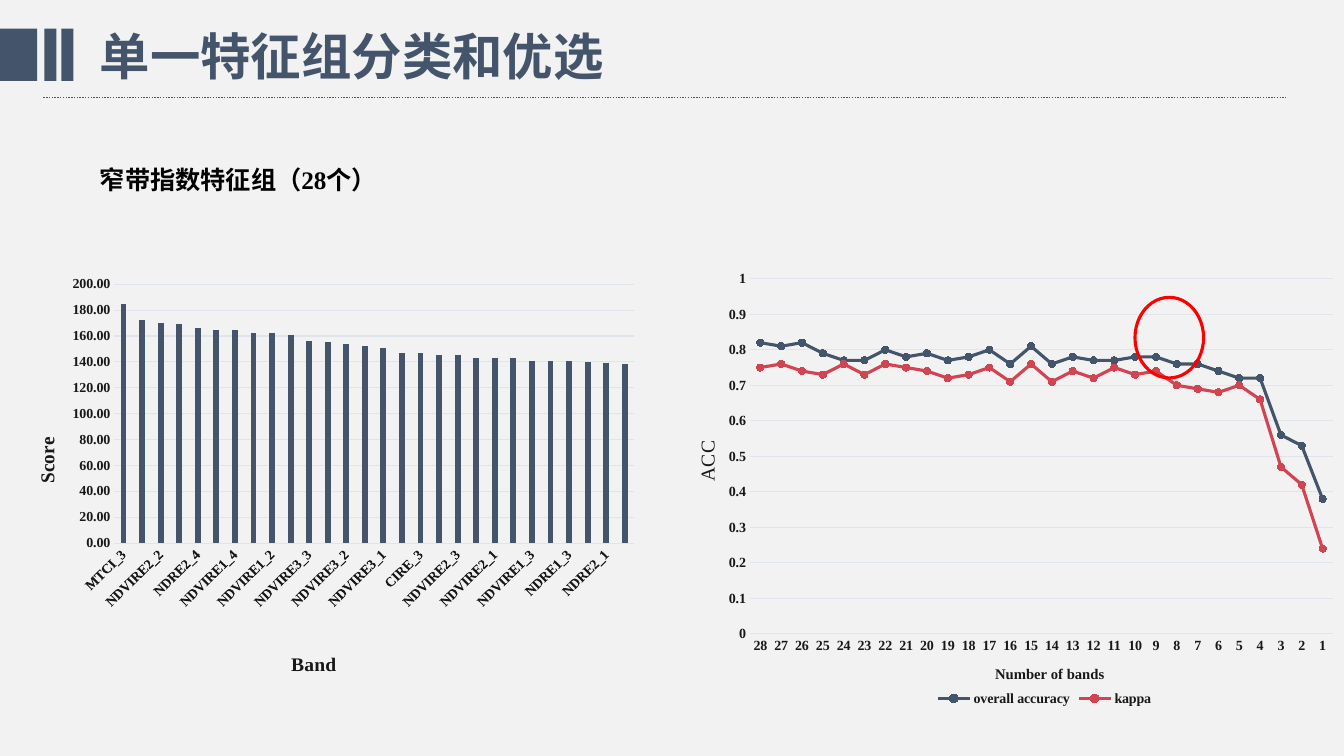
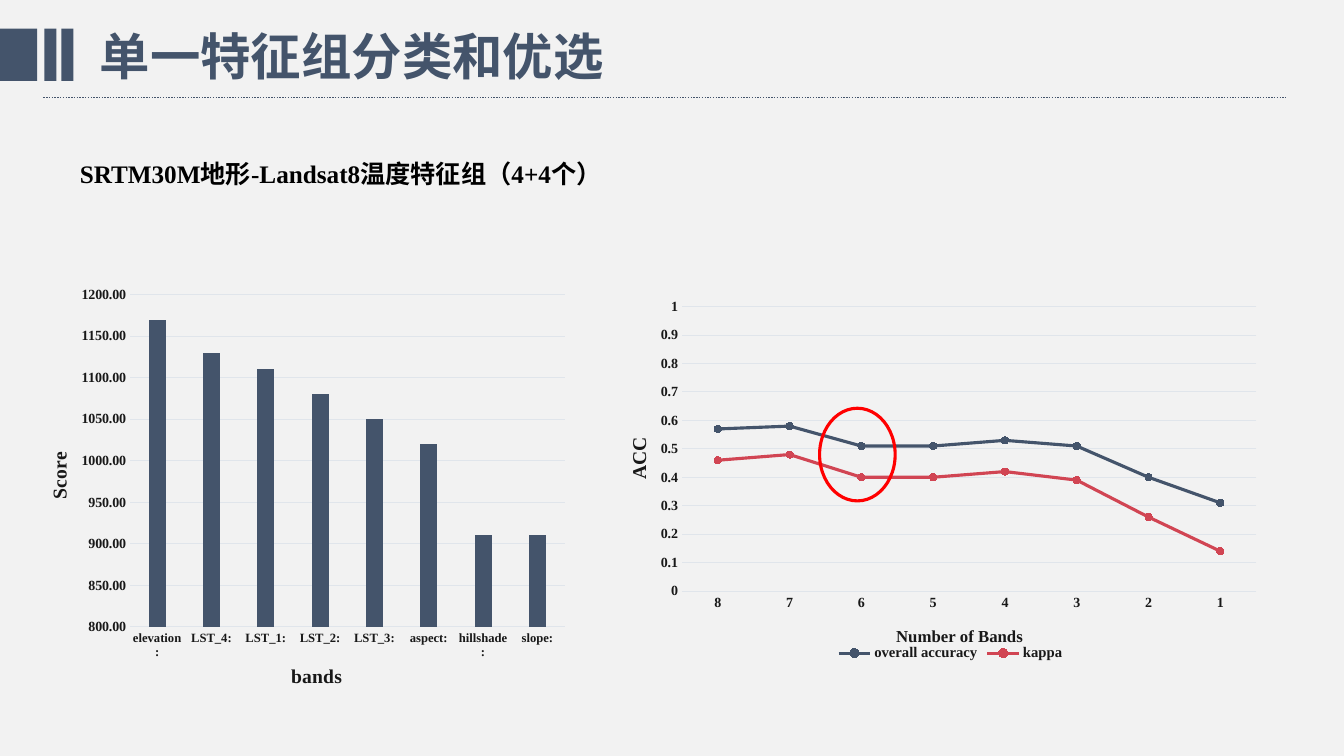
"""Build two slides on feature-group scores and accuracy."""
from dataclasses import dataclass

from lxml.etree import SubElement as Sub
from pptx import Presentation
from pptx.chart.data import CategoryChartData as Data
from pptx.dml.color import RGBColor as RGB
from pptx.enum.chart import XL_CHART_TYPE as Kind
from pptx.enum.chart import XL_LEGEND_POSITION as Spot
from pptx.enum.chart import XL_MARKER_STYLE as Mark
from pptx.enum.chart import XL_TICK_MARK as Tick
from pptx.enum.dml import MSO_LINE as Dash
from pptx.enum.shapes import MSO_CONNECTOR as Wire
from pptx.enum.shapes import MSO_SHAPE as Form
from pptx.enum.text import PP_ALIGN as Align
from pptx.oxml.ns import qn
from pptx.util import Pt

Box = tuple[float, ...]


@dataclass(frozen=True)
class Theme:
    """Colours, fonts and type sizes."""
    back: RGB = RGB(0xF2, 0xF2, 0xF2)
    navy: RGB = RGB(0x44, 0x54, 0x6B)
    rose: RGB = RGB(0xD1, 0x45, 0x53)
    ink: RGB = RGB(0x18, 0x18, 0x18)
    black: RGB = RGB(0, 0, 0)
    grid: RGB = RGB(0xE0, 0xE5, 0xEB)
    ring: RGB = RGB(0xFF, 0, 0)
    sans: str = "Noto Sans CJK SC"
    serif: str = "Times New Roman"
    title: float = 36
    head: float = 18
    axis: float = 14
    sub: float = 12
    note: float = 10.5
    label: float = 10
    small: float = 9


T = Theme()


@dataclass(frozen=True)
class Name:
    """An axis title and its place in the chart."""
    text: str
    at: Box
    size: float = T.axis
    bold: bool = True


@dataclass(frozen=True)
class Graph:
    """What both kinds of chart need."""
    box: Box
    plot: Box
    cats: list[str]
    rows: dict[str, list[float]]
    low: float
    high: float
    step: float
    across: Name
    up: Name
    size: float = T.label
    tilt: int = 0
    key: Box = ()
    key_size: float = T.label


@dataclass(frozen=True)
class Page:
    """One slide: heading, score bars, accuracy lines, ring."""
    head: str
    at: Box
    bars: Graph
    lines: Graph
    ring: Box


def style(font, size: float, color: RGB, face: str = T.serif, bold: bool = True) -> None:
    """Set one font."""
    font.size, font.bold, font.name = Pt(size), bold, face
    font.color.rgb = color


def place(node, at: Box, slot: int) -> None:
    """Give a chart part a manual layout."""
    for old in node.findall(qn("c:layout")):
        node.remove(old)
    lay = node.makeelement(qn("c:layout"))
    node.insert(slot, lay)
    man = Sub(lay, qn("c:manualLayout"))
    if len(at) == 4:
        Sub(man, qn("c:layoutTarget")).set("val", "inner")
    for tag in ("xMode", "yMode"):
        Sub(man, qn(f"c:{tag}")).set("val", "edge")
    for tag, val in zip("xywh", at):
        Sub(man, qn(f"c:{tag}")).set("val", str(val))


def write(slide, text: str, box: Box, size: float, color: RGB, face: str, align: Align, wrap: bool) -> None:
    """Add one line of bold text."""
    frame = slide.shapes.add_textbox(*map(Pt, box)).text_frame
    frame.word_wrap = wrap
    par = frame.paragraphs[0]
    par.text, par.alignment = text, align
    style(par.font, size, color, face)
    Sub(par._p.pPr.find(qn("a:defRPr")), qn("a:ea")).set("typeface", T.sans)


def shape(slide, form: Form, box: Box):
    """Add a flat shape."""
    item = slide.shapes.add_shape(form, *map(Pt, box))
    item.shadow.inherit = False
    return item


def frame(slide) -> None:
    """Draw the band, rule and title that the slides share."""
    for left, wide in ((0, 26.6), (31.7, 8.6), (43.9, 8.6)):
        bar = shape(slide, Form.RECTANGLE, (left, 20.5, wide, 37.4))
        bar.fill.solid()
        bar.fill.fore_color.rgb = T.navy
        bar.line.fill.background()
    rule = slide.shapes.add_connector(Wire.STRAIGHT, Pt(31), Pt(69.8), Pt(918.7), Pt(69.8))
    rule.line.color.rgb, rule.line.width = T.navy, Pt(1)
    rule.line.dash_style = Dash.ROUND_DOT
    Sub(rule._element.spPr, qn("a:effectLst"))
    write(slide, "单一特征组分类和优选", (64.1, 14.4, 378, 51.1), T.title, T.navy, T.sans, Align.LEFT, False)


def label(axis, name: Name, turn: int, size: float, tilt: int) -> None:
    """Style an axis, its labels and its title."""
    axis.major_tick_mark = axis.minor_tick_mark = Tick.NONE
    style(axis.tick_labels.font, size, T.ink)
    if tilt:
        axis._element.find(qn("c:txPr")).find(qn("a:bodyPr")).set("rot", str(tilt * 60000))
    text = axis.axis_title.text_frame
    text.text = name.text
    style(text.paragraphs[0].font, name.size, T.ink, bold=name.bold)
    body = text._txBody.find(qn("a:bodyPr"))
    body.set("rot", str(turn * 60000))
    body.set("vert", "horz")
    place(axis.axis_title._element, name.at, 1)


def graph(slide, kind: Kind, g: Graph):
    """Add a chart with styled axes."""
    data = Data()
    data.categories = g.cats
    for name, vals in g.rows.items():
        data.add_series(name, vals)
    chart = slide.shapes.add_chart(kind, *map(Pt, g.box), data).chart
    chart.has_title = chart.has_legend = False
    style(chart.font, T.label, T.ink)
    cat, val = chart.category_axis, chart.value_axis
    label(cat, g.across, 0, g.size, g.tilt)
    label(val, g.up, -90, T.label, 0)
    cat.has_major_gridlines, val.has_major_gridlines = False, True
    for line in (cat.format.line, val.major_gridlines.format.line):
        line.color.rgb, line.width = T.grid, Pt(0.75)
    val.format.line.fill.background()
    val.minimum_scale, val.maximum_scale, val.major_unit = g.low, g.high, g.step
    chart.plots[0].vary_by_categories = False
    place(chart._chartSpace.chart.plotArea, g.plot, 0)
    return chart


def score(slide, g: Graph) -> None:
    """Draw the score columns."""
    chart = graph(slide, Kind.COLUMN_CLUSTERED, g)
    tick = chart.value_axis.tick_labels
    tick.number_format, tick.number_format_is_linked = "0.00", False
    plot = chart.plots[0]
    plot.gap_width, plot.overlap = 219, -27
    fill = plot.series[0].format.fill
    fill.solid()
    fill.fore_color.rgb = T.navy


def trend(slide, g: Graph) -> None:
    """Draw the accuracy lines."""
    chart = graph(slide, Kind.LINE_MARKERS, g)
    for row, color in zip(chart.plots[0].series, (T.navy, T.rose)):
        row.smooth = False
        row.format.line.color.rgb, row.format.line.width = color, Pt(2.25)
        row.marker.style, row.marker.size = Mark.CIRCLE, 5
        look = row.marker.format
        look.fill.solid()
        look.fill.fore_color.rgb = look.line.color.rgb = color
    chart.has_legend = True
    key = chart.legend
    key.position, key.include_in_layout = Spot.BOTTOM, False
    style(key.font, g.key_size, T.ink)
    place(key._element, g.key, 1)


def count(top: int) -> list[str]:
    """List band counts down to one."""
    return [str(n) for n in range(top, 0, -1)]


PAGES = [
    Page(
        "窄带指数特征组（28个）", (10.1, 113.8, 320.4, 28.8),
        Graph((3.6, 191.5, 458.6, 295.2), (0.17, 0.04, 0.81, 0.64),
              ["MTCI_3", "MTCI_2", "NDVIRE2_2", "NDRE1_4", "NDRE2_4", "MTCI_4", "NDVIRE1_4",
               "CIRE_4", "NDVIRE1_2", "NDVIRE2_4", "NDVIRE3_3", "MTCI_1", "NDVIRE3_2",
               "NDVIRE3_4", "NDVIRE3_1", "CIRE_2", "CIRE_3", "NDRE1_2", "NDVIRE2_3", "NDRE2_2",
               "NDVIRE2_1", "NDVIRE1_1", "NDVIRE1_3", "CIRE_1", "NDRE1_3", "NDRE2_3",
               "NDRE2_1", "NDRE1_1"],
              {"Series 1": [185, 172, 170, 169, 166, 165, 165, 162, 162, 161, 156, 155, 154, 152,
                            151, 147, 147, 145, 145, 143, 143, 143, 141, 141, 141, 140, 139, 138]},
              0, 200, 20, Name("Band", (0.44, 0.94)), Name("Score", (0.04, 0.41)), tilt=-45),
        Graph((488.9, 164.9, 468, 342.7), (0.1, 0.1, 0.89, 0.74), count(28),
              {"overall accuracy": [0.82, 0.81, 0.82, 0.79, 0.77, 0.77, 0.8, 0.78, 0.79, 0.77,
                                    0.78, 0.8, 0.76, 0.81, 0.76, 0.78, 0.77, 0.77, 0.78, 0.78,
                                    0.76, 0.76, 0.74, 0.72, 0.72, 0.56, 0.53, 0.38],
               "kappa": [0.75, 0.76, 0.74, 0.73, 0.76, 0.73, 0.76, 0.75, 0.74, 0.72, 0.73, 0.75,
                         0.71, 0.76, 0.71, 0.74, 0.72, 0.75, 0.73, 0.74, 0.7, 0.69, 0.68, 0.7,
                         0.66, 0.47, 0.42, 0.24]},
              0, 1, 0.1, Name("Number of bands", (0.47, 0.9), T.note),
              Name("ACC", (0.01, 0.43), bold=False), key=(0.38, 0.95)),
        (810.7, 212.4, 49, 57.6)),
    Page(
        "SRTM30M地形-Landsat8温度特征组（4+4个）", (19.4, 109.4, 447.8, 28.8),
        Graph((23, 201.6, 388.1, 296.6), (0.18, 0.03, 0.8, 0.8),
              ["elevation:", "LST_4:", "LST_1:", "LST_2:", "LST_3:", "aspect:", "hillshade:",
               "slope:"],
              {"Series 1": [1170, 1130, 1110, 1080, 1050, 1020, 910, 910]},
              800, 1200, 50, Name("bands", (0.47, 0.91)), Name("Score", (0.02, 0.4)),
              size=T.small),
        Graph((439.9, 193.7, 471.6, 282.2), (0.1, 0.09, 0.87, 0.72), count(8),
              {"overall accuracy": [0.57, 0.58, 0.51, 0.51, 0.53, 0.51, 0.4, 0.31],
               "kappa": [0.46, 0.48, 0.4, 0.4, 0.42, 0.39, 0.26, 0.14]},
              0, 1, 0.1, Name("Number of Bands", (0.42, 0.89), T.sub),
              Name("ACC", (0.01, 0.41)), key=(0.33, 0.95), key_size=T.note),
        (585.4, 291.6, 54, 66.2)),
]


def main() -> None:
    """Build and save the deck."""
    deck = Presentation()
    deck.slide_width, deck.slide_height = Pt(960), Pt(540)
    fill = deck.slide_master.background.fill
    fill.solid()
    fill.fore_color.rgb = T.back
    for page in PAGES:
        slide = deck.slides.add_slide(deck.slide_layouts[6])
        frame(slide)
        score(slide, page.bars)
        trend(slide, page.lines)
        write(slide, page.head, page.at, T.head, T.black, T.serif, Align.CENTER, True)
        ring = shape(slide, Form.OVAL, page.ring)
        ring.fill.background()
        ring.line.color.rgb, ring.line.width = T.ring, Pt(2.25)
    deck.save("out.pptx")


if __name__ == "__main__":
    main()
